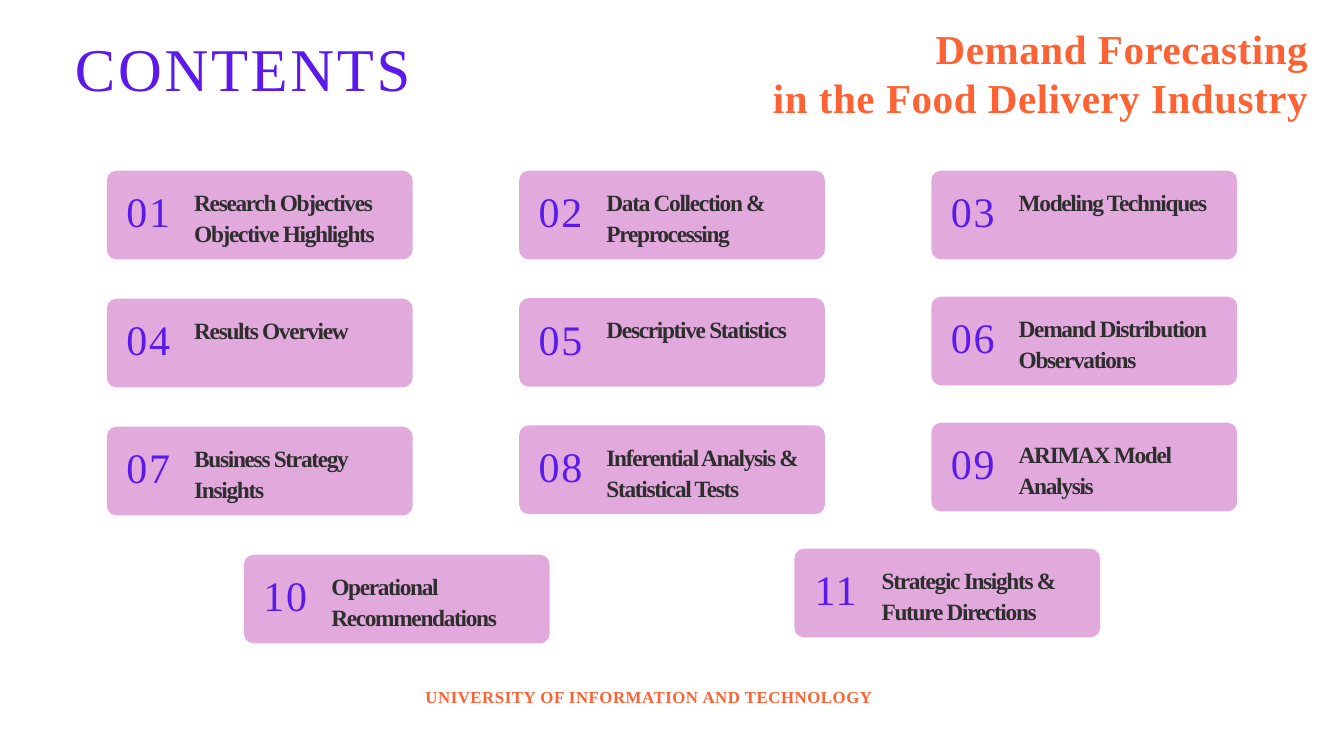
from pptx import Presentation
from pptx.dml.color import RGBColor
from pptx.enum.shapes import MSO_SHAPE
from pptx.enum.text import MSO_AUTO_SIZE, PP_ALIGN
from pptx.util import Inches, Pt

ROUND = MSO_SHAPE.ROUNDED_RECTANGLE
GROW = MSO_AUTO_SIZE.SHAPE_TO_FIT_TEXT
LEFT, CENTER, RIGHT = PP_ALIGN.LEFT, PP_ALIGN.CENTER, PP_ALIGN.RIGHT

FACE = "Times New Roman"
VIOLET, ORANGE, DARK, PINK = "5B19EC", "FC6233", "2E2E2E", "E2A9DD"

# Each style: font values, colour, letter spacing, alignment, line height
STYLES = {
    "topic": ({"size": Pt(44), "bold": True}, ORANGE, 0.6, RIGHT, None),
    "title": ({"size": Pt(65)}, VIOLET, 2.9, CENTER, 72),
    "number": ({"size": Pt(45)}, VIOLET, 1.9, CENTER, 48),
    "label": ({"size": Pt(25), "bold": True}, DARK, -1.4, LEFT, 33.6),
    "footer": ({"size": Pt(18), "bold": True}, ORANGE, 0.6, CENTER, None),
}

# Label and its number of lines
TOPICS = [
    ("Research Objectives Objective Highlights", 2),
    ("Data Collection & Preprocessing", 2),
    ("Modeling Techniques", 1),
    ("Results Overview", 1),
    ("Descriptive Statistics", 1),
    ("Demand Distribution Observations", 2),
    ("Business Strategy Insights", 2),
    ("Inferential Analysis & Statistical Tests", 2),
    ("ARIMAX Model Analysis", 2),
    ("Operational Recommendations", 2),
    ("Strategic Insights & Future Directions", 2),
]
CARD_W, CARD_H = 4.55, 1.32
STEP_X = 6.135
STEPS_Y = [1.905, 1.895, 1.875]  # row step of each column
LAST = [(2.04, 0), (10.23, 2)]  # last row: shift and the column whose step it keeps


def color(code):
    return RGBColor.from_string(code)


def add_text(shapes, box, text, style, inset=(0, 0)):
    values, tint, gap, align, line = STYLES[style]
    frame = shapes.add_textbox(*map(Inches, box)).text_frame
    side, edge = map(Inches, inset)
    layout = {"word_wrap": True, "auto_size": GROW,
              "margin_left": side, "margin_right": side,
              "margin_top": edge, "margin_bottom": edge}
    for key, value in layout.items():
        setattr(frame, key, value)
    para = frame.paragraphs[0]
    para.text = text
    para.alignment = align
    if line:
        para.line_spacing = Pt(line)
    for run in para.runs:
        for key, value in {"name": FACE, **values}.items():
            setattr(run.font, key, value)
        run.font.color.rgb = color(tint)
        run._r.get_or_add_rPr().set("spc", str(round(gap * 100)))


def add_card(slide, x, y, number, label, lines):
    shapes = slide.shapes.add_group_shape().shapes
    panel = shapes.add_shape(ROUND, *map(Inches, (x, y, CARD_W, CARD_H)))
    panel.adjustments[0] = 0.11
    panel.shadow.inherit = False
    panel.fill.solid()
    panel.fill.fore_color.rgb = color(PINK)
    panel.line.fill.background()
    add_text(shapes, (x + 0.22, y + 0.31, 0.79, 0.67), f"{number:02}", "number")
    add_text(shapes, (x + 1.3, y + 0.21, 2.98, 0.465 * lines), label, "label")


def add_header(slide, x, y):
    add_text(slide.shapes, (x + 9.85, y, 8.65, 1.48),
             "Demand Forecasting\nin the Food Delivery Industry", "topic")
    add_text(slide.shapes, (x, y + 0.19, 5.27, 1.01), "CONTENTS", "title")


def add_cards(slide, x, y):
    for i, (label, lines) in enumerate(TOPICS):
        row, col = divmod(i, 3)
        shift = col * STEP_X
        if row == 3:
            shift, col = LAST[col]
        add_card(slide, x + shift, y + row * STEPS_Y[col], i + 1, label, lines)


def add_footer(slide, x, y):
    add_text(slide.shapes, (x, y, 10, 0.4),
             "UNIVERSITY OF INFORMATION AND TECHNOLOGY ", "footer", (0.1, 0.05))


def main():
    deck = Presentation()
    deck.slide_width, deck.slide_height = Inches(20), Inches(11.25)
    slide = deck.slides.add_slide(deck.slide_layouts[6])
    add_header(slide, 0.98, 0.35)
    add_cards(slide, 1.59, 2.54)
    add_footer(slide, 4.69, 10.17)
    deck.save("out.pptx")


if __name__ == "__main__":
    main()
